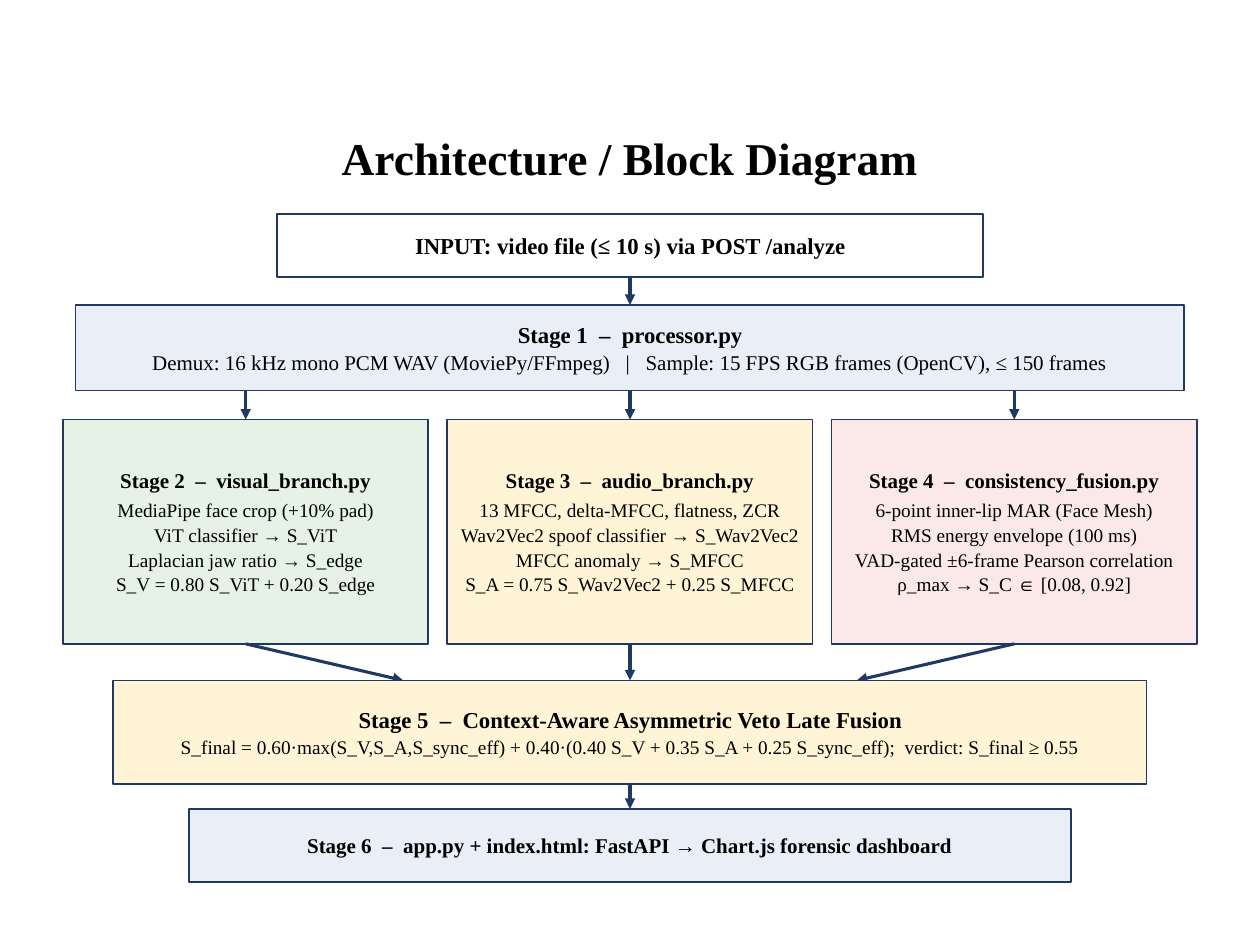
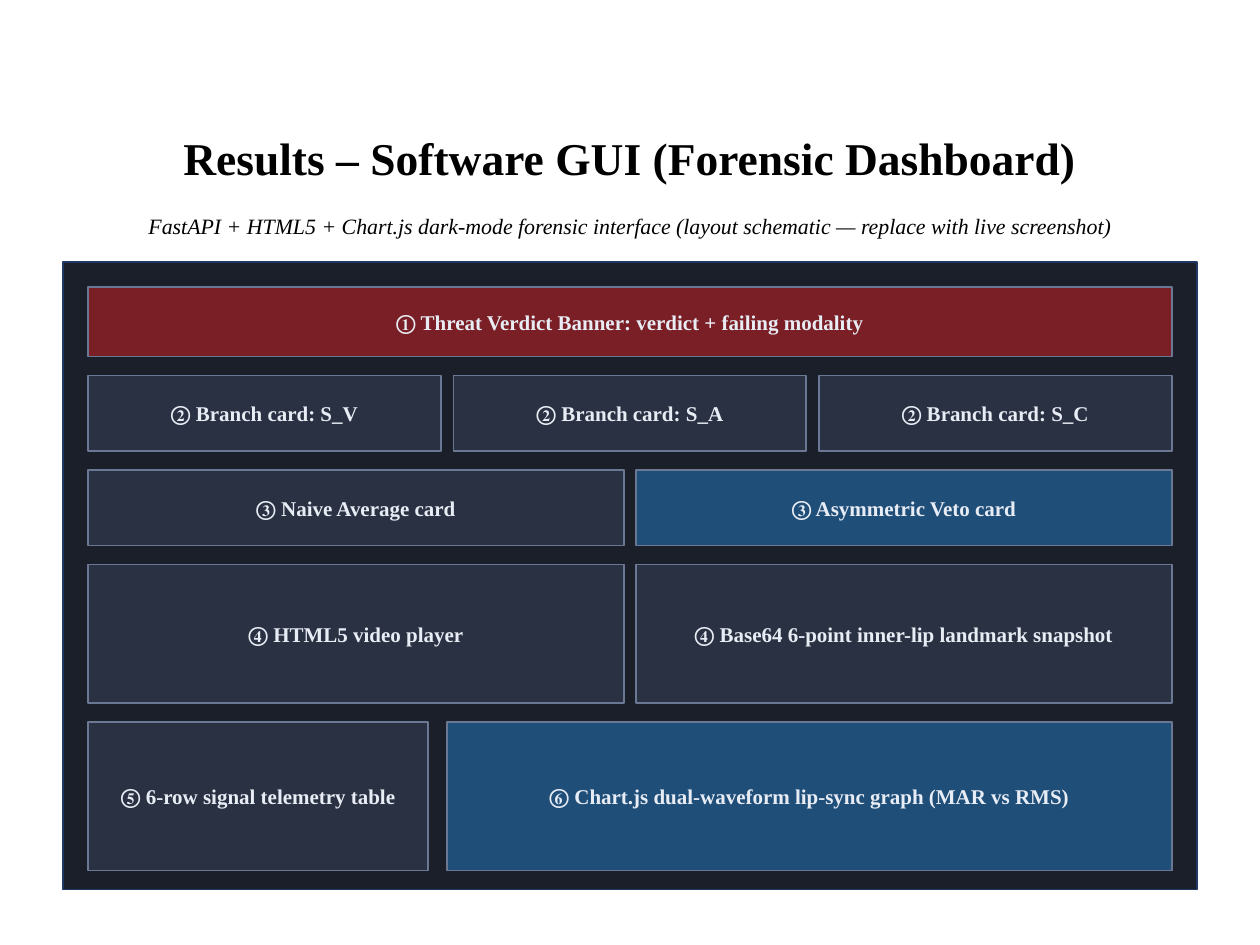
"""Build the architecture diagram and the dashboard schematic slides."""
from dataclasses import dataclass

from pptx import Presentation
from pptx.dml.color import RGBColor
from pptx.enum import shapes, text
from pptx.oxml import ns, xmlchemy
from pptx.util import Pt


@dataclass(frozen=True)
class Theme:
    font: str = "Times New Roman"
    ink: str = "000000"
    navy: str = "1F3864"
    white: str = "FFFFFF"
    ice: str = "E9EEF7"
    green: str = "E6F2E6"
    cream: str = "FFF4D6"
    rose: str = "FBE9E9"
    panel: str = "1B1F2A"
    card: str = "2A3142"
    accent: str = "1F4E79"
    alert: str = "7A1F25"
    card_edge: str = "6B7894"
    card_ink: str = "E8ECF4"
    title_size: float = 26
    caption_size: float = 12.5
    lead_size: float = 13
    label_size: float = 12
    detail_size: float = 11
    edge_width: float = 1
    arrow_width: float = 1.75


class Deck:
    """Hold the theme and the current slide, and draw each kind of element."""

    def __init__(self, theme):
        self.theme = theme
        self.presentation = Presentation()
        self.presentation.slide_width = Pt(720)
        self.presentation.slide_height = Pt(540)
        self.slide = None

    def format(self, paragraph, size, color=None, bold=False, italic=False):
        paragraph.alignment = text.PP_ALIGN.CENTER
        for run in paragraph.runs:
            font = run.font
            font.name, font.size = self.theme.font, Pt(size)
            font.bold, font.italic = bold, italic
            font.color.rgb = RGBColor.from_string(color or self.theme.ink)

    def start(self, heading):
        layout = self.presentation.slide_layouts.get_by_name("Title Only")
        self.slide = self.presentation.slides.add_slide(layout)
        title = self.slide.shapes.title
        title.left, title.top, title.width, title.height = map(Pt, (57.6, 70.56, 604.8, 39.6))
        frame = title.text_frame
        frame.text = heading
        frame.word_wrap = True
        frame.auto_size = text.MSO_AUTO_SIZE.NONE
        frame.vertical_anchor = text.MSO_ANCHOR.TOP
        self.format(frame.paragraphs[0], self.theme.title_size, bold=True)

    def caption(self, wording, left, top, width, height):
        frame = self.slide.shapes.add_textbox(*map(Pt, (left, top, width, height))).text_frame
        frame.word_wrap = True
        frame.margin_left = frame.margin_right = Pt(4.32)
        frame.margin_top = frame.margin_bottom = Pt(2.88)
        frame.text = wording
        self.format(frame.paragraphs[0], self.theme.caption_size, italic=True)

    def box(self, left, top, width, height, fill, edge=None):
        block = self.slide.shapes.add_shape(
            shapes.MSO_SHAPE.RECTANGLE, *map(Pt, (left, top, width, height)))
        block.shadow.inherit = False
        block.fill.solid()
        block.fill.fore_color.rgb = RGBColor.from_string(fill)
        block.line.color.rgb = RGBColor.from_string(edge or self.theme.navy)
        block.line.width = Pt(self.theme.edge_width)
        return block

    def label(self, block, heading, size, color=None, details=(), detail_size=None, gap=1):
        frame = block.text_frame
        frame.word_wrap = True
        frame.vertical_anchor = text.MSO_ANCHOR.MIDDLE
        frame.margin_left = frame.margin_right = Pt(5.76)
        frame.margin_top = frame.margin_bottom = Pt(2.88)
        frame.text = "\n".join((heading, *details))
        first, *others = frame.paragraphs
        self.format(first, size, color, bold=True)
        if others:
            first.space_after = Pt(gap)
        for paragraph in others:
            self.format(paragraph, detail_size, color)
            if len(others) > 1:
                paragraph.space_after = Pt(1)

    def arrow(self, x1, y1, x2, y2):
        link = self.slide.shapes.add_connector(
            shapes.MSO_CONNECTOR.STRAIGHT, *map(Pt, (x1, y1, x2, y2)))
        link.line.color.rgb = RGBColor.from_string(self.theme.navy)
        link.line.width = Pt(self.theme.arrow_width)
        properties = link._element.spPr
        head = xmlchemy.OxmlElement("a:tailEnd")
        head.set("type", "triangle")
        properties.find(ns.qn("a:ln")).append(head)
        properties.append(xmlchemy.OxmlElement("a:effectLst"))


def draw_architecture(deck):
    theme = deck.theme
    middle = 360
    branch_width, branch_pitch, entry_pitch = 208.8, 219.6, 129.6
    input_top, input_height = 122.4, 36
    process_top, process_height = 174.24, 48.96
    branch_top, branch_height = 239.76, 128.16
    fusion_top, fusion_height = 388.8, 59.04
    dashboard_top, dashboard_height = 462.24, 41.76
    branches = [
        ("Stage 2  –  visual_branch.py", theme.green,
         ["MediaPipe face crop (+10% pad)", "ViT classifier → S_ViT",
          "Laplacian jaw ratio → S_edge", "S_V = 0.80 S_ViT + 0.20 S_edge"]),
        ("Stage 3  –  audio_branch.py", theme.cream,
         ["13 MFCC, delta-MFCC, flatness, ZCR", "Wav2Vec2 spoof classifier → S_Wav2Vec2",
          "MFCC anomaly → S_MFCC", "S_A = 0.75 S_Wav2Vec2 + 0.25 S_MFCC"]),
        ("Stage 4  –  consistency_fusion.py", theme.rose,
         ["6-point inner-lip MAR (Face Mesh)", "RMS energy envelope (100 ms)",
          "VAD-gated ±6-frame Pearson correlation", "ρ_max → S_C ∈ [0.08, 0.92]"]),
    ]

    def stage(top, width, height, fill, heading, size, center=middle, **details):
        block = deck.box(center - width / 2, top, width, height, fill)
        deck.label(block, heading, size, **details)

    deck.start("Architecture / Block Diagram")
    stage(input_top, 403.2, input_height, theme.white,
          "INPUT: video file (≤ 10 s) via POST /analyze", theme.lead_size)
    deck.arrow(middle, input_top + input_height, middle, process_top)
    stage(process_top, 633.6, process_height, theme.ice,
          "Stage 1  –  processor.py", theme.lead_size, detail_size=theme.label_size,
          details=["Demux: 16 kHz mono PCM WAV (MoviePy/FFmpeg)   |   "
                   "Sample: 15 FPS RGB frames (OpenCV), ≤ 150 frames"])
    for offset, (heading, fill, steps) in enumerate(branches, start=-1):
        center = middle + offset * branch_pitch
        deck.arrow(center, process_top + process_height, center, branch_top)
        stage(branch_top, branch_width, branch_height, fill, heading, theme.label_size,
              center, details=steps, detail_size=theme.detail_size, gap=3)
        deck.arrow(center, branch_top + branch_height,
                   middle + offset * entry_pitch, fusion_top)
    stage(fusion_top, 590.4, fusion_height, theme.cream,
          "Stage 5  –  Context-Aware Asymmetric Veto Late Fusion", theme.lead_size,
          detail_size=theme.detail_size,
          details=["S_final = 0.60·max(S_V,S_A,S_sync_eff) + 0.40·(0.40 S_V + 0.35 S_A + "
                   "0.25 S_sync_eff);  verdict: S_final ≥ 0.55"])
    deck.arrow(middle, fusion_top + fusion_height, middle, dashboard_top)
    stage(dashboard_top, 504, dashboard_height, theme.ice,
          "Stage 6  –  app.py + index.html: FastAPI → Chart.js forensic dashboard",
          theme.label_size)


def draw_dashboard(deck):
    theme = deck.theme
    rows = [
        (39.6, 0, [("① Threat Verdict Banner: verdict + failing modality", 619.2, theme.alert)]),
        (43.2, 7.2, [(f"② Branch card: {score}", 201.6, theme.card)
                     for score in ("S_V", "S_A", "S_C")]),
        (43.2, 7.2, [("③ Naive Average card", 306, theme.card),
                     ("③ Asymmetric Veto card", 306, theme.accent)]),
        (79.2, 7.2, [("④ HTML5 video player", 306, theme.card),
                     ("④ Base64 6-point inner-lip landmark snapshot", 306, theme.card)]),
        (84.96, 10.8, [("⑤ 6-row signal telemetry table", 194.4, theme.card),
                       ("⑥ Chart.js dual-waveform lip-sync graph (MAR vs RMS)", 414,
                        theme.accent)]),
    ]
    deck.start("Results – Software GUI (Forensic Dashboard)")
    deck.caption("FastAPI + HTML5 + Chart.js dark-mode forensic interface "
                 "(layout schematic — replace with live screenshot)", 36, 118.8, 648, 28.8)
    deck.box(36, 149.76, 648, 358.56, theme.panel)
    top, row_gap = 164.16, 10.8
    for height, card_gap, cards in rows:
        left = 50.4
        for wording, width, fill in cards:
            card = deck.box(left, top, width, height, fill, theme.card_edge)
            deck.label(card, wording, theme.label_size, theme.card_ink)
            left += width + card_gap
        top += height + row_gap


def main():
    deck = Deck(Theme())
    draw_architecture(deck)
    draw_dashboard(deck)
    deck.presentation.save("out.pptx")


if __name__ == "__main__":
    main()
